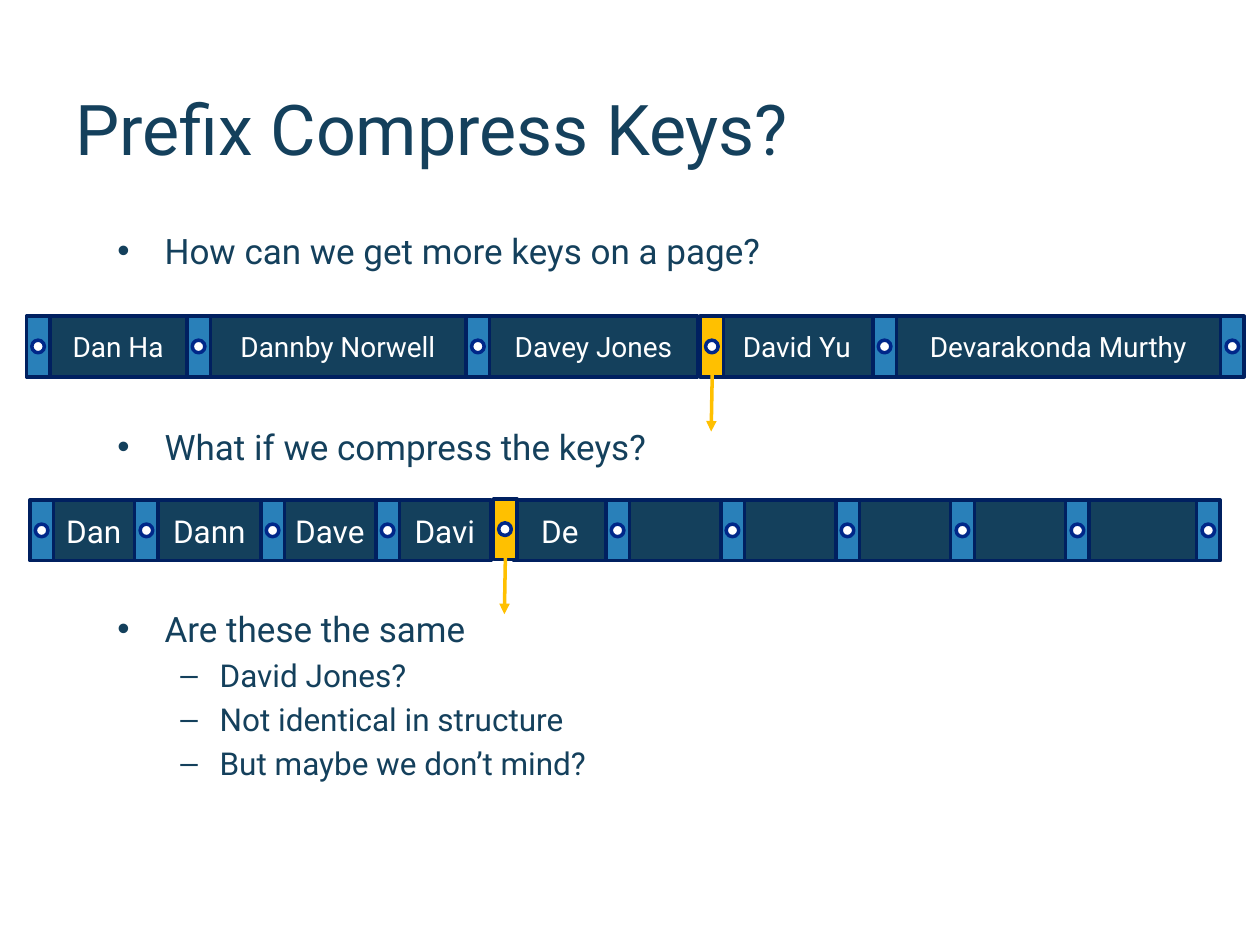
from lxml.etree import SubElement
from pptx import Presentation
from pptx.dml.color import RGBColor
from pptx.enum.shapes import MSO_CONNECTOR, MSO_SHAPE
from pptx.enum.text import MSO_ANCHOR, MSO_AUTO_SIZE, PP_ALIGN
from pptx.oxml.ns import qn
from pptx.util import Pt

INK = RGBColor(0x14, 0x40, 0x5C)
WHITE = RGBColor(0xFF, 0xFF, 0xFF)
NAVY = RGBColor(0x00, 0x20, 0x60)
RING = RGBColor(0x00, 0x27, 0x89)
BLUE = RGBColor(0x29, 0x80, 0xB9)
GOLD = RGBColor(0xFF, 0xC0, 0x00)

CELL_HEIGHT = 34.6
POINTER_WIDTH = 13.5
POINTER_STEP = 13.1
DOT_SIZE = 7.2


def write(paragraph, text, size, color):
    """Add a run of text in the slide's font."""
    run = paragraph.add_run()
    run.text = text
    for attribute, value in {"name": "Roboto", "size": Pt(size)}.items():
        setattr(run.font, attribute, value)
    run.font.color.rgb = color


def add_block(shapes, preset, box, fill, outline):
    """Add a filled, outlined preset shape; box is left, top, width, height."""
    block = shapes.add_shape(preset, *(Pt(length) for length in box))
    block.shadow.inherit = False
    block.fill.solid()
    block.fill.fore_color.rgb = fill
    block.line.color.rgb = outline
    block.line.width = Pt(2)
    return block


presentation = Presentation()
presentation.slide_width = Pt(720)
presentation.slide_height = Pt(540)
slide = presentation.slides.add_slide(presentation.slide_layouts[1])

# Title and questions
title = slide.shapes.title
questions = slide.placeholders[1]
for placeholder, box, anchor in (
    (title, (36, 52.6, 648, 41), MSO_ANCHOR.MIDDLE),
    (questions, (59.8, 127.4, 601.2, 346.3), MSO_ANCHOR.TOP),
):
    for side, length in zip(("left", "top", "width", "height"), box):
        setattr(placeholder, side, Pt(length))
    frame_format = {"word_wrap": True, "auto_size": MSO_AUTO_SIZE.NONE, "vertical_anchor": anchor}
    for attribute, value in frame_format.items():
        setattr(placeholder.text_frame, attribute, value)

heading = title.text_frame.paragraphs[0]
heading.alignment = PP_ALIGN.LEFT
write(heading, "Prefix Compress Keys?", 40, INK)

# Text, level, space before
question_lines = [
    ("How can we get more keys on a page?", 0, 4.7),
    ("What if we compress the keys?", 0, 88),
    ("Are these the same", 0, 80),
    ("David Jones?", 1, 3.6),
    ("Not identical in structure", 1, 3.6),
    ("But maybe we don’t mind?", 1, 3.6),
]
level_formats = [(20, 27, -27, "•"), (18, 58.5, -22.5, "–")]
for index, (text, level, space) in enumerate(question_lines):
    frame = questions.text_frame
    line = frame.add_paragraph() if index else frame.paragraphs[0]
    size, margin, indent, bullet = level_formats[level]
    for attribute, value in {"level": level, "space_before": Pt(space)}.items():
        setattr(line, attribute, value)
    properties = line._p.get_or_add_pPr()
    properties.set("marL", str(Pt(margin)))
    properties.set("indent", str(Pt(indent)))
    SubElement(properties, qn("a:buChar"), char=bullet)
    write(line, text, size, INK)

# Pages of keys: left, top, text size, followed pointer, its drop, keys with widths
pages = [
    (15.1, 180.7, 16, 3, 0,
     [("Dan Ha", 78.6), ("Dannby Norwell", 146.5), ("Davey Jones", 119.2),
      ("David Yu", 87), ("Devarakonda Murthy", 185.6)]),
    (17.1, 285.8, 18, 4, -0.7,
     [("Dan", 46.8), ("Dann", 59), ("Dave", 52.6), ("Davi", 52.6), ("De", 52.6)]
     + [("", 52.6)] * 4 + [("", 61.7)]),
]
for page_left, top, size, followed, drop, keys in pages:
    page = slide.shapes.add_group_shape().shapes
    pointers = [page_left]
    for text, width in keys:
        key_left = pointers[-1] + POINTER_STEP
        key = add_block(page, MSO_SHAPE.RECTANGLE, (key_left, top, width, CELL_HEIGHT), INK, NAVY)
        pointers.append(key_left + width)
        if text:
            key_format = {"margin_left": 0, "margin_right": 0, "word_wrap": True,
                          "vertical_anchor": MSO_ANCHOR.MIDDLE}
            for attribute, value in key_format.items():
                setattr(key.text_frame, attribute, value)
            label = key.text_frame.paragraphs[0]
            label.alignment = PP_ALIGN.CENTER
            write(label, text, size, WHITE)

    cells = [(page, left, top, BLUE) for left in pointers]
    cells[followed] = (slide.shapes, pointers[followed] + 1.4, top + drop, GOLD)
    for shapes, left, cell_top, fill in cells:
        add_block(shapes, MSO_SHAPE.RECTANGLE,
                  (left, cell_top, POINTER_WIDTH, CELL_HEIGHT), fill, NAVY)
        add_block(shapes, MSO_SHAPE.OVAL,
                  (left + 3.1, cell_top + 13.7, DOT_SIZE, DOT_SIZE), WHITE, RING)

    arrow_left, arrow_top = cells[followed][1] + 7, top + drop + 28.5
    arrow = slide.shapes.add_connector(
        MSO_CONNECTOR.STRAIGHT, Pt(arrow_left), Pt(arrow_top),
        Pt(arrow_left - 0.7), Pt(arrow_top + 37.4))
    arrow.line.color.rgb = GOLD
    arrow.line.width = Pt(2)
    SubElement(arrow.line._get_or_add_ln(), qn("a:tailEnd"), type="triangle")
    SubElement(arrow._element.spPr, qn("a:effectLst"))

presentation.save("out.pptx")
